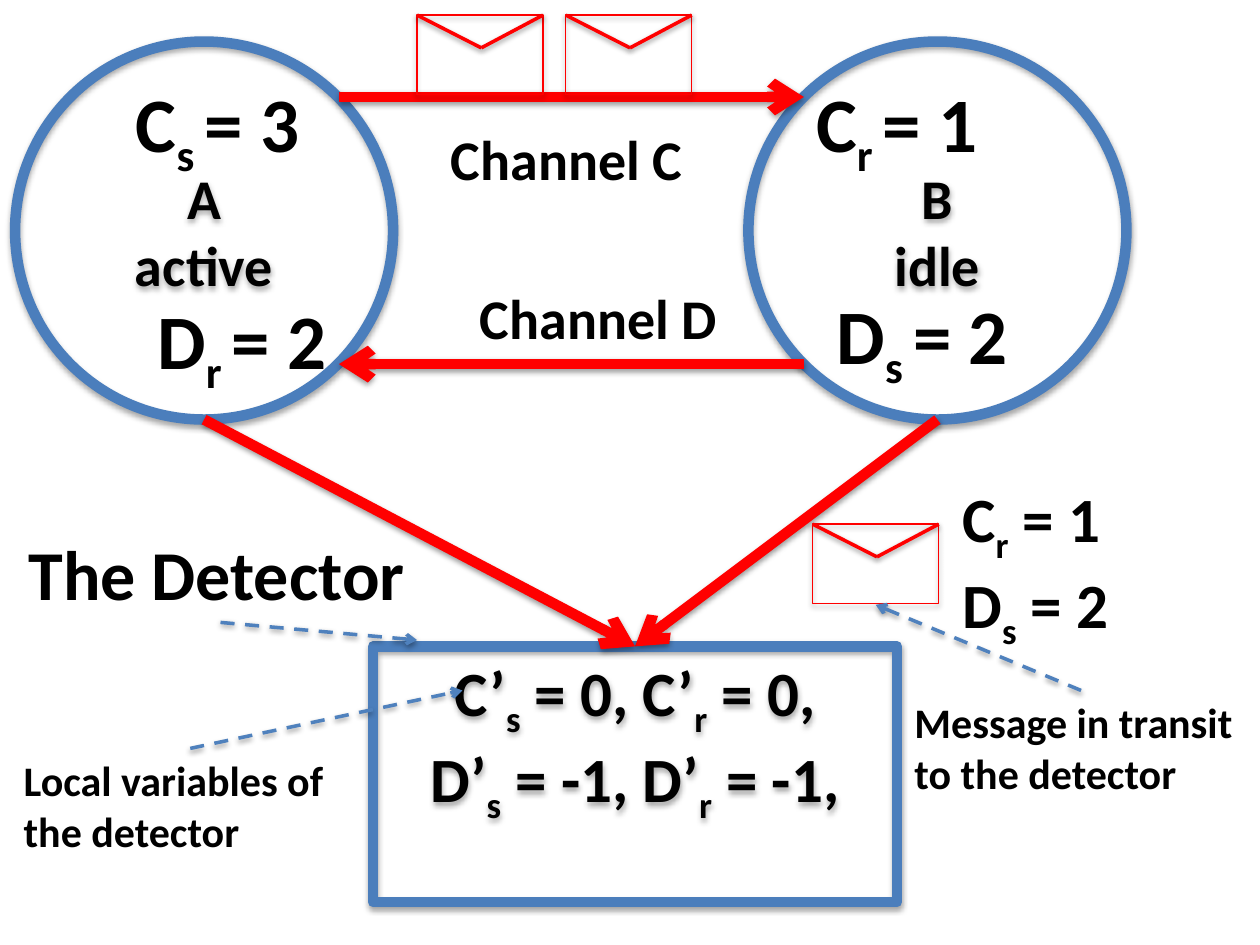
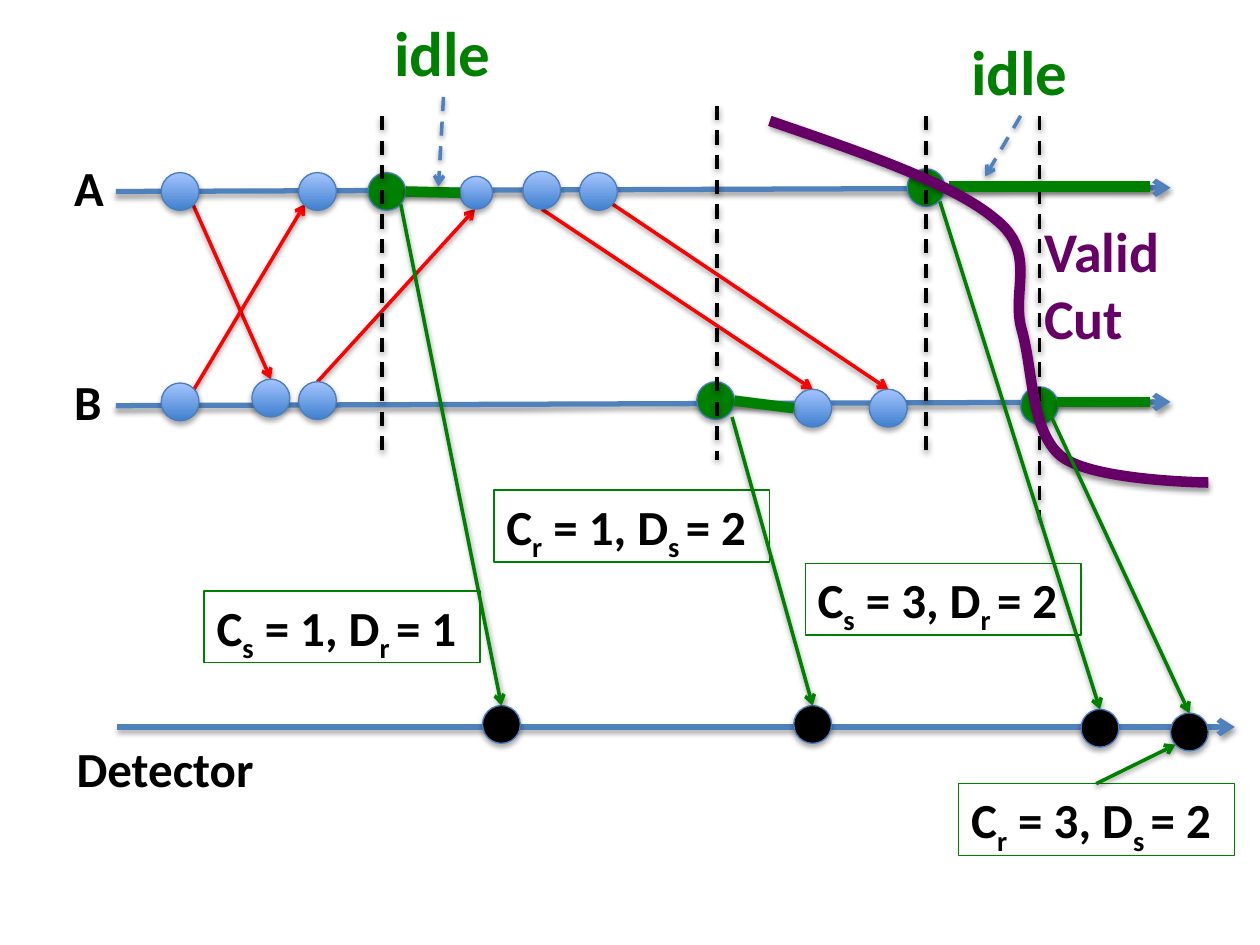
"""Build two slides on detecting termination with channel counters."""
from lxml import etree
from pptx import Presentation
from pptx import util as u
from pptx.dml.color import RGBColor
from pptx.enum import dml, shapes, text
from pptx.oxml import parse_xml
from pptx.oxml import ns

BLACK, RED, GREEN, PURPLE = "000000", "FF0000", "008000", "660066"
BLUE, OUTLINE = "4F81BD", "4B7EBC"
SKY_LOW, SKY_HIGH = "3F80CE", "A4C4FF"
FONT = "Calibri"
SCALE = 9144


def px(n):
    return u.Emu(n * SCALE)


def rgb(value):
    return RGBColor.from_string(value)


class Deck:
    def __init__(self):
        self.prs = Presentation()
        self.prs.slide_width, self.prs.slide_height = px(1000), px(750)
        self.s = None

    def slide(self):
        self.s = self.prs.slides.add_slide(self.prs.slide_layouts[6])

    def shadow(self, sp, alpha, dist):
        sp._element.spPr.append(parse_xml(
            f'<a:effectLst {ns.nsdecls("a")}><a:outerShdw blurRad="40000" dist="{dist}" '
            f'dir="5400000" rotWithShape="0"><a:srgbClr val="000000">'
            f'<a:alpha val="{alpha}000"/></a:srgbClr></a:outerShdw></a:effectLst>'))

    def stroke(self, sp, color, width):
        sp.line.color.rgb = rgb(color)
        sp.line.width = u.Pt(width)

    def line(self, start, end, color, width=2, dash=False, arrow=False, parent=None):
        sp = (parent or self.s).shapes.add_connector(
            shapes.MSO_CONNECTOR.STRAIGHT, *map(px, start + end))
        self.stroke(sp, color, width)
        if dash:
            sp.line.dash_style = dml.MSO_LINE.DASH
        if arrow:
            ln = sp.line._get_or_add_ln()
            etree.SubElement(ln, ns.qn("a:tailEnd"), type="arrow")
        self.shadow(sp, 38, 20000)

    def arrow(self, start, end, color, width=2, dash=False):
        self.line(start, end, color, width, dash, arrow=True)

    def shape(self, kind, box, color=OUTLINE, width=6, fill=None, parent=None):
        sp = (parent or self.s).shapes.add_shape(kind, *map(px, box))
        if fill == "sky":
            sp.fill.gradient()
            sp.fill.gradient_angle = 90
            for stop, shade in zip(sp.fill.gradient_stops, (SKY_LOW, SKY_HIGH)):
                stop.color.rgb = rgb(shade)
        elif fill:
            sp.fill.solid()
            sp.fill.fore_color.rgb = rgb(fill)
        else:
            sp.fill.background()
        self.stroke(sp, color, width)
        self.shadow(sp, 35, 23000)
        return sp

    def set_text(self, tf, lines, size, color=BLACK, align=None):
        for i, content in enumerate(lines.split("\n")):
            p = tf.add_paragraph() if i else tf.paragraphs[0]
            p.alignment = align
            for j, part in enumerate(content.replace("}", "{").split("{")):
                if not part:
                    continue
                r = p.add_run()
                r.text = part
                r.font.name, r.font.size, r.font.bold = FONT, u.Pt(size), True
                r.font.color.rgb = rgb(color)
                if j % 2:
                    r._r.get_or_add_rPr().set("baseline", "-25000")

    def label(self, box, lines, size, color=BLACK, wrap=False, border=None):
        sp = self.s.shapes.add_textbox(*map(px, box))
        tf = sp.text_frame
        tf.word_wrap = wrap
        tf.auto_size = text.MSO_AUTO_SIZE.SHAPE_TO_FIT_TEXT
        self.set_text(tf, lines, size, color)
        if border:
            self.stroke(sp, border, 0.75)

    def panel(self, kind, box, lines, size, top=None):
        tf = self.shape(kind, box).text_frame
        tf.word_wrap = True
        tf.vertical_anchor = text.MSO_ANCHOR.MIDDLE
        if top is not None:
            tf.vertical_anchor = text.MSO_ANCHOR.TOP
            tf.margin_top = px(top)
        self.set_text(tf, lines, size, align=text.PP_ALIGN.CENTER)

    def envelope(self, x, y):
        group = self.s.shapes.add_group_shape()
        self.shape(shapes.MSO_SHAPE.RECTANGLE, (x, y, 100, 63), RED, 0.75, parent=group)
        for corner in (x, x + 100):
            self.line((corner, y), (x + 51, y + 26), RED, parent=group)

    def dot(self, x, y, fill, size=30):
        self.shape(shapes.MSO_SHAPE.OVAL, (x, y, size, size), OUTLINE, 0.75, fill)

    def curve(self, points, color, width):
        start, *rest = points
        builder = self.s.shapes.build_freeform(*start, scale=SCALE)
        builder.add_line_segments(rest, close=False)
        sp = builder.convert_to_shape()
        track = next(sp._element.iter(ns.qn("a:path")))
        steps = track.findall(ns.qn("a:lnTo"))
        for i in range(0, len(steps), 3):
            bezier = etree.SubElement(track, ns.qn("a:cubicBezTo"))
            for step in steps[i:i + 3]:
                bezier.append(step[0])
                track.remove(step)
        sp.fill.background()
        self.stroke(sp, color, width)
        self.shadow(sp, 38, 20000)


def counters_slide(d):
    d.slide()
    for x, state in ((12, "A\nactive"), (594, "B\nidle")):
        d.panel(shapes.MSO_SHAPE.OVAL, (x, 33, 300, 300), state, 32)
    d.arrow((269, 77), (638, 77), RED, 6)
    d.arrow((638, 289), (269, 289), RED, 6)
    for x, y, w, counter in ((98, 55, 155, "C{s }= 3"), (638, 55, 153, "C{r }= 1"),
                             (654, 223, 161, "D{s }= 2"), (115, 227, 159, "D{r }= 2")):
        d.label((x, y, w, 84), counter, 44)
    d.panel(shapes.MSO_SHAPE.RECTANGLE, (296, 513, 416, 203),
            "C’{s} = 0, C’{r} = 0,\nD’{s} = -1, D’{r} = -1,", 36, top=6)
    for x in (744, 162):
        d.arrow((x, 333), (504, 513), RED, 6)
    for x, y in ((331, 12), (449, 12), (645, 416)):
        d.envelope(x, y)
    d.label((754, 376, 154, 131), "C{r} = 1\nD{s} = 2", 36, wrap=True)
    d.label((13, 416, 323, 77), "The Detector", 40)
    d.label((348, 94, 206, 64), "Channel C", 32)
    d.label((371, 220, 210, 64), "Channel D", 32)
    d.label((716, 548, 284, 91), "Message in transit to the detector", 24, wrap=True)
    d.label((9, 594, 284, 91), "Local variables of the detector", 24, wrap=True)
    for start, end in (((858, 548), (695, 480)), ((151, 594), (367, 548)),
                       ((175, 494), (331, 508))):
        d.arrow(start, end, BLUE, dash=True)


def timeline_slide(d):
    d.slide()
    for start, end in (((92, 152), (929, 149)), ((92, 322), (929, 319)),
                       ((93, 577), (980, 577))):
        d.arrow(start, end, BLUE, 3)
    for start, end in (((153, 162), (215, 301)), ((154, 309), (242, 162)),
                       ((252, 303), (377, 166)), ((430, 166), (645, 309)),
                       ((486, 162), (705, 309))):
        d.arrow(start, end, RED)
    dots = {
        "sky": ((128, 137), (237, 137), (365, 140, 26), (415, 136), (460, 137),
                (128, 304), (200, 301), (237, 303), (630, 309), (690, 309)),
        GREEN: ((292, 137), (720, 134), (553, 303), (810, 307)),
        BLACK: ((383, 560), (630, 560), (858, 563), (929, 566)),
    }
    for fill, places in dots.items():
        for x, y, *size in places:
            d.dot(x, y, fill, *size)
    for x, top, bottom in ((569, 84, 365), (303, 92, 365), (735, 92, 365), (825, 92, 413)):
        d.line((x, top), (x, bottom), BLACK, dash=True)
    for start, end in (((322, 152), (365, 153)), ((753, 148), (913, 148)),
                       ((839, 319), (913, 319)), ((630, 324), (583, 318))):
        d.line(start, end, GREEN, 6)
    for x, y in ((303, 6), (761, 21)):
        d.label((x, y, 98, 71), "idle", 36, GREEN)
    d.arrow((352, 77), (348, 148), BLUE, dash=True)
    d.arrow((810, 92), (782, 140), BLUE, dash=True)
    for x, y, report in ((392, 389, "C{r} = 1, D{s }= 2"), (761, 622, "C{r} = 3, D{s }= 2"),
                         (162, 469, "C{s} = 1, D{r }= 1"), (639, 447, "C{s} = 3, D{r }= 2")):
        d.label((x, y, 219, 57), report, 28, border=GREEN)
    d.curve([(611, 96), (684, 121), (757, 146), (790, 174), (824, 201), (802, 231), (811, 262),
             (820, 294), (818, 342), (842, 362), (867, 382), (959, 383), (959, 383)], PURPLE, 6)
    d.label((819, 167, 140, 118), "Valid Cut", 32, PURPLE, wrap=True)
    for x, y, w, name in ((49, 120, 44, "A"), (49, 290, 42, "B"), (51, 581, 163, "Detector")):
        d.label((x, y, w, 57), name, 28)
    for start, end in (((318, 162), (398, 560)), ((581, 331), (645, 560)),
                       ((746, 160), (873, 563)), ((835, 332), (944, 566)),
                       ((870, 622), (933, 591))):
        d.arrow(start, end, GREEN)


def main():
    d = Deck()
    counters_slide(d)
    timeline_slide(d)
    d.prs.save("out.pptx")


if __name__ == "__main__":
    main()
